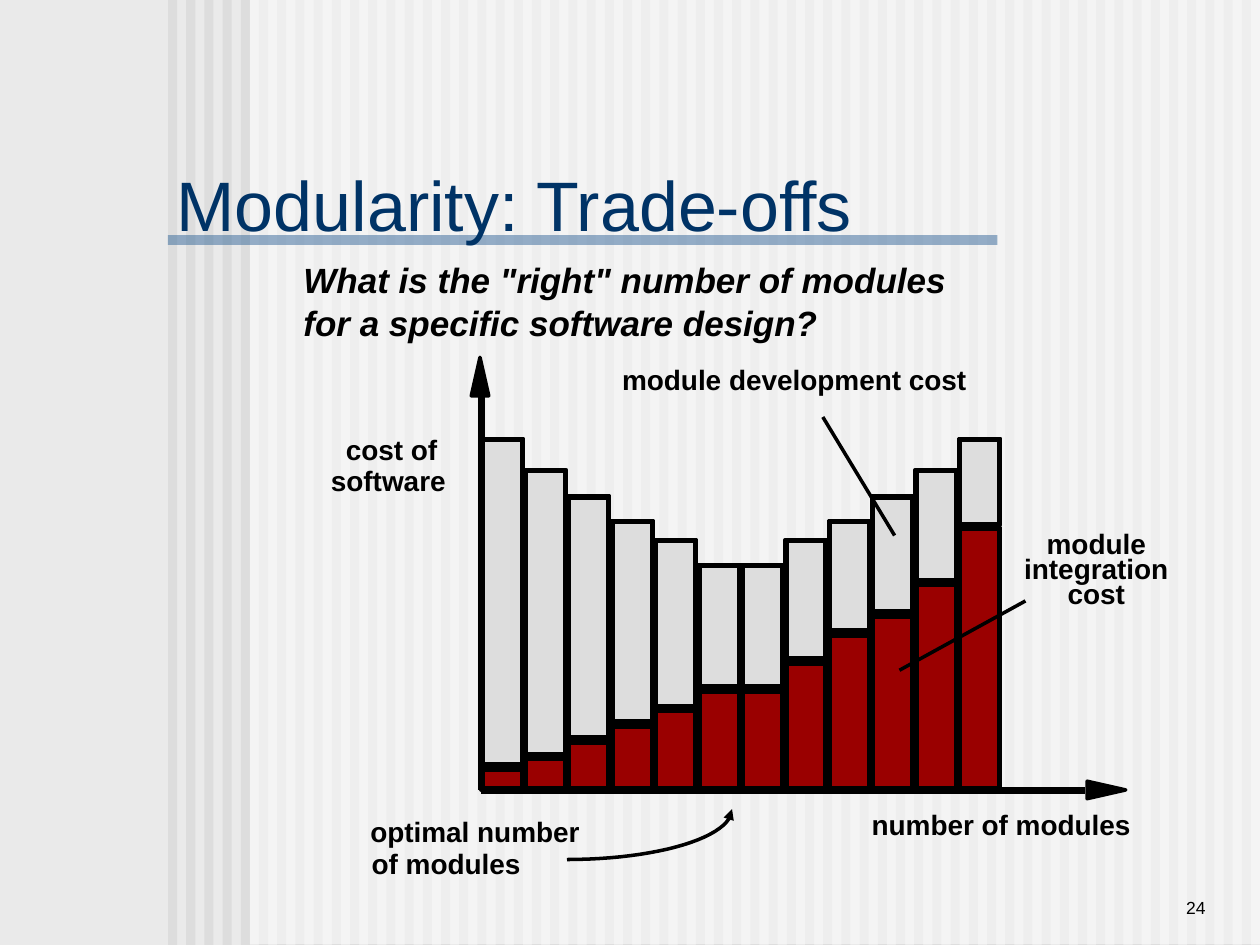
import math
from dataclasses import dataclass

import pptx
import pptx.dml.color
import pptx.enum.shapes
import pptx.enum.text
import pptx.oxml
import pptx.oxml.ns
import pptx.util
from pptx.util import Pt


@dataclass(frozen=True)
class Theme:
    font: str = "Arial"
    ground: str = "EAEAEA"
    stripe: str = "DDDDDD"
    veil: str = "FFFFFF"
    rule: str = "336699"
    title: str = "003366"
    ink: str = "000000"
    development: str = "DDDDDD"
    integration: str = "9A0000"
    title_size: int = 40
    question_size: int = 20
    label_size: int = 16
    number_size: int = 10


theme = Theme()
rgb = pptx.dml.color.RGBColor.from_string
align = pptx.enum.text.PP_ALIGN
anchor = pptx.enum.text.MSO_ANCHOR

deck = pptx.Presentation()
deck.slide_width, deck.slide_height = Pt(720), Pt(540)
page = deck.slides.add_slide(deck.slide_layouts[5])
page.background.fill.solid()
page.background.fill.fore_color.rgb = rgb(theme.ground)


def add_rect(left, top, width, height, fill=None, line=None, alpha=None):
    box = page.shapes.add_shape(
        pptx.enum.shapes.MSO_SHAPE.RECTANGLE, Pt(left), Pt(top), Pt(width), Pt(height)
    )
    box.shadow.inherit = False
    if fill:
        box.fill.solid()
        box.fill.fore_color.rgb = rgb(fill)
    else:
        box.fill.background()
    if line:
        box.line.color.rgb = rgb(line)
        box.line.width = Pt(2)
    else:
        box.line.fill.background()
    if alpha:
        color = box.element.spPr.find(".//" + pptx.oxml.ns.qn("a:srgbClr"))
        color.append(pptx.oxml.parse_xml(
            f'<a:alpha {pptx.oxml.ns.nsdecls("a")} val="{alpha * 1000}"/>'))


def write(box, lines, size, color=theme.ink, bold=True, italic=False,
          side=align.LEFT, spacing=1.0, inset=(7.2, 3.6), upright=anchor.TOP):
    frame = box.text_frame
    frame.word_wrap = True
    frame.auto_size = pptx.enum.text.MSO_AUTO_SIZE.NONE
    frame.vertical_anchor = upright
    frame.margin_left = frame.margin_right = Pt(inset[0])
    frame.margin_top = frame.margin_bottom = Pt(inset[1])
    for index, line in enumerate(lines):
        para = frame.add_paragraph() if index else frame.paragraphs[0]
        para.alignment = side
        para.line_spacing = spacing
        span = para.add_run()
        span.text = line
        span.font.name = theme.font
        span.font.size = Pt(size)
        span.font.bold = bold
        span.font.italic = italic
        span.font.color.rgb = rgb(color)


for index in range(60):
    add_rect(96 + 10.4 * index, 0, 5.2, 540, theme.stripe)
add_rect(142.8, 0, 577.2, 539.5, theme.veil, alpha=50)
add_rect(96, 134.4, 474, 5.6, theme.rule, alpha=50)

number = page.shapes.add_textbox(Pt(594), Pt(492), Pt(102), Pt(36))
write(number, ["24"], theme.number_size, bold=False, side=align.RIGHT, upright=anchor.BOTTOM)

title = page.shapes.title
page.shapes.element.append(title.element)
title.left, title.top, title.width, title.height = Pt(96), Pt(90), Pt(399), Pt(52)
write(title, ["Modularity: Trade-offs"], theme.title_size, theme.title,
      bold=False, inset=(5, 2.2))

for top, width, question in (
    (144, 390, 'What is the "right" number of modules'),
    (169, 310, "for a specific software design?"),
):
    box = page.shapes.add_textbox(Pt(166.3), Pt(top), Pt(width), Pt(31))
    write(box, [question], theme.question_size, italic=True)

base = 451.4
falling_tops = [250.5, 268.5, 283.5, 297.5, 308.5, 322.5]
development_tops = falling_tops + falling_tops[::-1]
integration_tops = [439, 433, 423.5, 414.5, 405.5, 394.5,
                    394.5, 378.5, 362.5, 351.5, 333.5, 301.5]
for index, (upper, middle) in enumerate(zip(development_tops, integration_tops)):
    left = 275 + 24.8 * index
    for top, bottom, fill in (
        (middle, base, theme.integration),
        (upper, middle - 1.4, theme.development),
    ):
        add_rect(left + 1, top + 1, 22, bottom - top - 2, fill, theme.ink)
        add_rect(left, top, 23.8, bottom - top, None, theme.ink)

for left, top, width, text in (
    (204.5, 462, 140, "optimal number"),
    (205.3, 480.2, 115, "of modules"),
    (190.5, 243.4, 85, "cost of"),
    (182, 261.4, 90, "software"),
    (491, 458, 168, "number of modules"),
    (348.4, 203.8, 220, "module development cost"),
):
    box = page.shapes.add_textbox(Pt(left), Pt(top), Pt(width), Pt(26))
    write(box, [text], theme.label_size)
box = page.shapes.add_textbox(Pt(575), Pt(301.7), Pt(103), Pt(50))
write(box, ["module", "integration", "cost"], theme.label_size,
      side=align.CENTER, spacing=0.75)

for start_x, start_y, end_x, end_y, weight in (
    (275, 452, 620, 452, 4),
    (275, 451.4, 275, 225.4, 4),
    (470.2, 238.3, 511.2, 306, 2),
    (586, 343.4, 514, 383, 2),
):
    line = page.shapes.add_connector(
        pptx.enum.shapes.MSO_CONNECTOR.STRAIGHT,
        Pt(start_x), Pt(start_y), Pt(end_x), Pt(end_y),
    )
    line.line.color.rgb = rgb(theme.ink)
    line.line.width = Pt(weight)
    line.element.spPr.append(
        pptx.oxml.parse_xml(f'<a:effectLst {pptx.oxml.ns.nsdecls("a")}/>'))

for tip, *corners in (
    ((643.3, 451.4), (621.2, 456.4), (621.2, 446.4)),
    ((274.3, 204.2), (279.3, 226.2), (269.3, 226.2)),
):
    builder = page.shapes.build_freeform(Pt(tip[0]), Pt(tip[1]))
    builder.add_line_segments([(Pt(x), Pt(y)) for x, y in corners], close=True)
    head = builder.convert_to_shape()
    head.shadow.inherit = False
    head.fill.solid()
    head.fill.fore_color.rgb = rgb(theme.ink)
    head.line.color.rgb = rgb(theme.ink)
    head.line.width = Pt(2)

steps = 24
angles = [math.pi / 2 * step / steps for step in range(steps + 1)]
curve_points = [(Pt(324 + 94.3 * math.cos(angle)), Pt(462.4 + 28.8 * math.sin(angle)))
                for angle in angles]
builder = page.shapes.build_freeform(*curve_points[0])
builder.add_line_segments(curve_points[1:], close=False)
curve = builder.convert_to_shape()
curve.shadow.inherit = False
curve.fill.background()
curve.line.color.rgb = rgb(theme.ink)
curve.line.width = Pt(2)
curve.line._get_or_add_ln().append(
    pptx.oxml.parse_xml(f'<a:headEnd {pptx.oxml.ns.nsdecls("a")} type="triangle"/>'))

deck.save("out.pptx")
